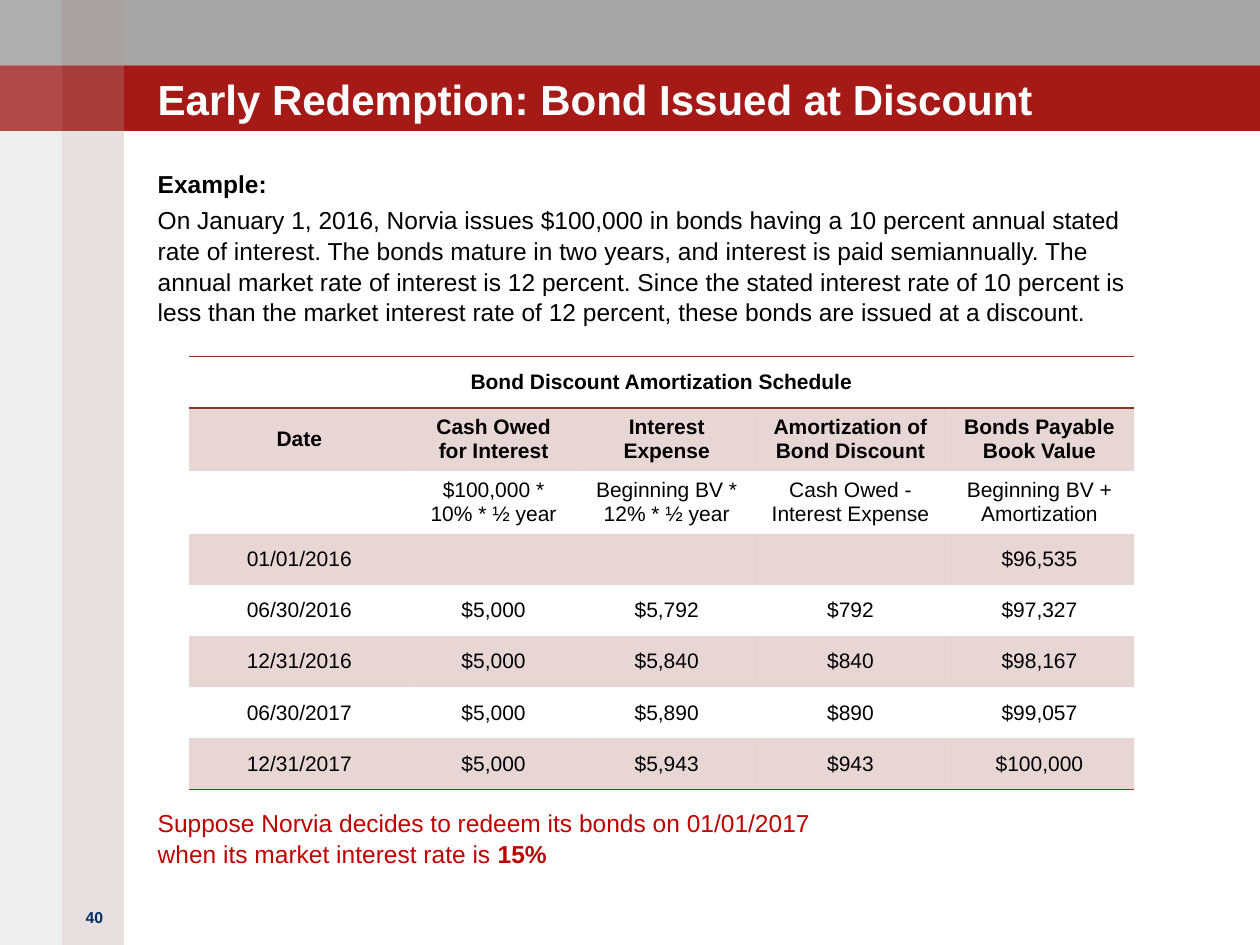
from lxml import etree
from pptx import Presentation
from pptx import util as u
from pptx.dml.color import RGBColor
from pptx.enum import shapes, text
from pptx.oxml.ns import qn

GREY = RGBColor(0xA6, 0xA6, 0xA6)
RED = RGBColor(0xA5, 0x1A, 0x17)
ROSE = RGBColor(0xA0, 0x82, 0x84)
STONE = RGBColor(0x93, 0x8F, 0x8F)
WHITE = RGBColor(0xFF, 0xFF, 0xFF)
BLACK = RGBColor(0, 0, 0)
NAVY = RGBColor(0x00, 0x2E, 0x62)
BROWN = RGBColor(0x87, 0x36, 0x24)
CRIMSON = RGBColor(0xC0, 0, 0)

NO_STYLE = "{2D5ABB26-0587-4C30-8999-92F81FD0307C}"
BAND_HEIGHT = 1.32
STRIP_WIDTH = 1.25
COLUMN_WIDTHS = (4.45, 3.38, 3.6, 3.81, 3.81)
ROW_HEIGHT, TWO_LINE_HEIGHT = 1.03, 1.21
SCHEDULE = (
    ("Bond Discount Amortization Schedule", "", "", "", ""),
    ("Date", "Cash Owed for Interest", "Interest Expense",
     "Amortization of Bond Discount", "Bonds Payable Book Value"),
    ("", "$100,000 * 10% * ½ year", "Beginning BV * 12% * ½ year",
     "Cash Owed - Interest Expense", "Beginning BV + Amortization"),
    ("01/01/2016", "", "", "", "$96,535"),
    ("06/30/2016", "$5,000", "$5,792", "$792", "$97,327"),
    ("12/31/2016", "$5,000", "$5,840", "$840", "$98,167"),
    ("06/30/2017", "$5,000", "$5,890", "$890", "$99,057"),
    ("12/31/2017", "$5,000", "$5,943", "$943", "$100,000"),
)
EXAMPLE = (
    "On January 1, 2016, Norvia issues $100,000 in bonds having a 10 percent "
    "annual stated rate of interest. The bonds mature in two years, and interest "
    "is paid semiannually. The annual market rate of interest is 12 percent. "
    "Since the stated interest rate of 10 percent is less than the market "
    "interest rate of 12 percent, these bonds are issued at a discount."
)


def set_all(target, **values):
    for name, value in values.items():
        setattr(target, name, value)


def fill_solid(fill, color, opacity=100):
    """Fill with a colour; opacity is in percent."""
    fill.solid()
    fill.fore_color.rgb = color
    if opacity < 100:
        tint = fill._xPr.find(qn("a:solidFill"))[0]
        etree.SubElement(tint, qn("a:alpha"), val=str(opacity * 1000))


def add_span(para, words, size, color=BLACK, bold=False):
    span = para.add_run()
    span.text = words
    set_all(span.font, name="Arial", size=u.Pt(size), bold=bold)
    span.font.color.rgb = color


def add_panel(page, box, color, opacity=100):
    panel = page.shapes.add_shape(
        shapes.MSO_SHAPE.RECTANGLE, *[u.Cm(length) for length in box])
    panel.shadow.inherit = False
    panel.line.fill.background()
    fill_solid(panel.fill, color, opacity)


def add_frame(page, box, anchor=text.MSO_ANCHOR.TOP):
    """Add a wrapping text box without margins and return its text frame."""
    frame = page.shapes.add_textbox(*[u.Cm(length) for length in box]).text_frame
    set_all(frame, word_wrap=True, vertical_anchor=anchor, margin_left=0,
            margin_right=0, margin_top=0, margin_bottom=0)
    return frame


def draw_backdrop(page, left, top, width, height):
    for index, color in enumerate((GREY, RED)):
        add_panel(page, (left, top + index * BAND_HEIGHT, width, BAND_HEIGHT), color)
    for index, (color, opacity) in enumerate(((STONE, 15), (ROSE, 25))):
        add_panel(page, (left + index * STRIP_WIDTH, top, STRIP_WIDTH, height),
                  color, opacity)
    for row in range(2):
        for column, opacity in enumerate((15, 5)):
            add_panel(page, (left + column * STRIP_WIDTH, top + row * BAND_HEIGHT,
                             STRIP_WIDTH, BAND_HEIGHT), WHITE, opacity)


def draw_title(page, *box):
    frame = add_frame(page, box, text.MSO_ANCHOR.BOTTOM)
    add_span(frame.paragraphs[0], "Early Redemption: Bond Issued at Discount",
             24, WHITE, True)


def draw_page_number(page, *box):
    para = add_frame(page, box).paragraphs[0]
    para.alignment = text.PP_ALIGN.CENTER
    add_span(para, "40", 9, NAVY, True)


def draw_example(page, *box):
    frame = add_frame(page, box)
    heading, body = frame.paragraphs[0], frame.add_paragraph()
    add_span(heading, "Example:", 14, bold=True)
    add_span(body, EXAMPLE, 14)
    heading.line_spacing = body.line_spacing = 1.05
    body.space_before = u.Pt(2.8)


def draw_question(page, *box):
    para = add_frame(page, box).paragraphs[0]
    para.line_spacing = 1.05
    add_span(para, "Suppose Norvia decides to redeem its bonds on 01/01/2017 ",
             14, CRIMSON)
    para.add_line_break()
    add_span(para, "when its market interest rate is ", 14, CRIMSON)
    add_span(para, "15%", 14, CRIMSON, True)


def add_borders(cell, sides):
    """Rule the given sides, which are named lnT and lnB in that order."""
    properties = cell._tc.get_or_add_tcPr()
    for index, side in enumerate(sides):
        line = etree.Element(qn("a:" + side), w=str(u.Pt(1)))
        paint = etree.SubElement(line, qn("a:solidFill"))
        etree.SubElement(paint, qn("a:srgbClr"), val=str(BROWN))
        properties.insert(index, line)


def draw_schedule(page, left, top, width, height):
    rows, columns = len(SCHEDULE), len(COLUMN_WIDTHS)
    table = page.shapes.add_table(rows, columns, u.Cm(left), u.Cm(top),
                                  u.Cm(width), u.Cm(height)).table
    set_all(table, first_row=False, horz_banding=False)
    table._tbl.tblPr.find(qn("a:tableStyleId")).text = NO_STYLE
    for column, column_width in zip(table.columns, COLUMN_WIDTHS):
        column.width = u.Cm(column_width)
    borders = {0: ("lnT", "lnB"), rows - 1: ("lnB",)}
    for r, values in enumerate(SCHEDULE):
        table.rows[r].height = u.Cm(TWO_LINE_HEIGHT if r in (1, 2) else ROW_HEIGHT)
        for c, words in enumerate(values):
            cell = table.cell(r, c)
            cell.vertical_anchor = text.MSO_ANCHOR.MIDDLE
            if words:
                para = cell.text_frame.paragraphs[0]
                para.alignment = text.PP_ALIGN.CENTER
                add_span(para, words, 12, bold=r < 2)
            if r % 2:
                fill_solid(cell.fill, BROWN, 20)
            else:
                cell.fill.background()
            add_borders(cell, borders.get(r, ()))
    table.cell(0, 0).merge(table.cell(0, columns - 1))


def main():
    deck = Presentation()
    set_all(deck, slide_width=u.Cm(25.4), slide_height=u.Cm(19.05))
    page = deck.slides.add_slide(deck.slide_layouts[6])
    draw_backdrop(page, 0, 0, 25.4, 19.05)
    draw_page_number(page, 1.27, 18.29, 1.27, 0.6)
    draw_title(page, 3.18, 0.79, 19.89, 1.7)
    draw_example(page, 3.18, 3.38, 20.32, 3.2)
    draw_question(page, 3.18, 16.26, 20.32, 1.3)
    draw_schedule(page, 3.81, 7.19, 19.05, 8.6)
    deck.save("out.pptx")


if __name__ == "__main__":
    main()
